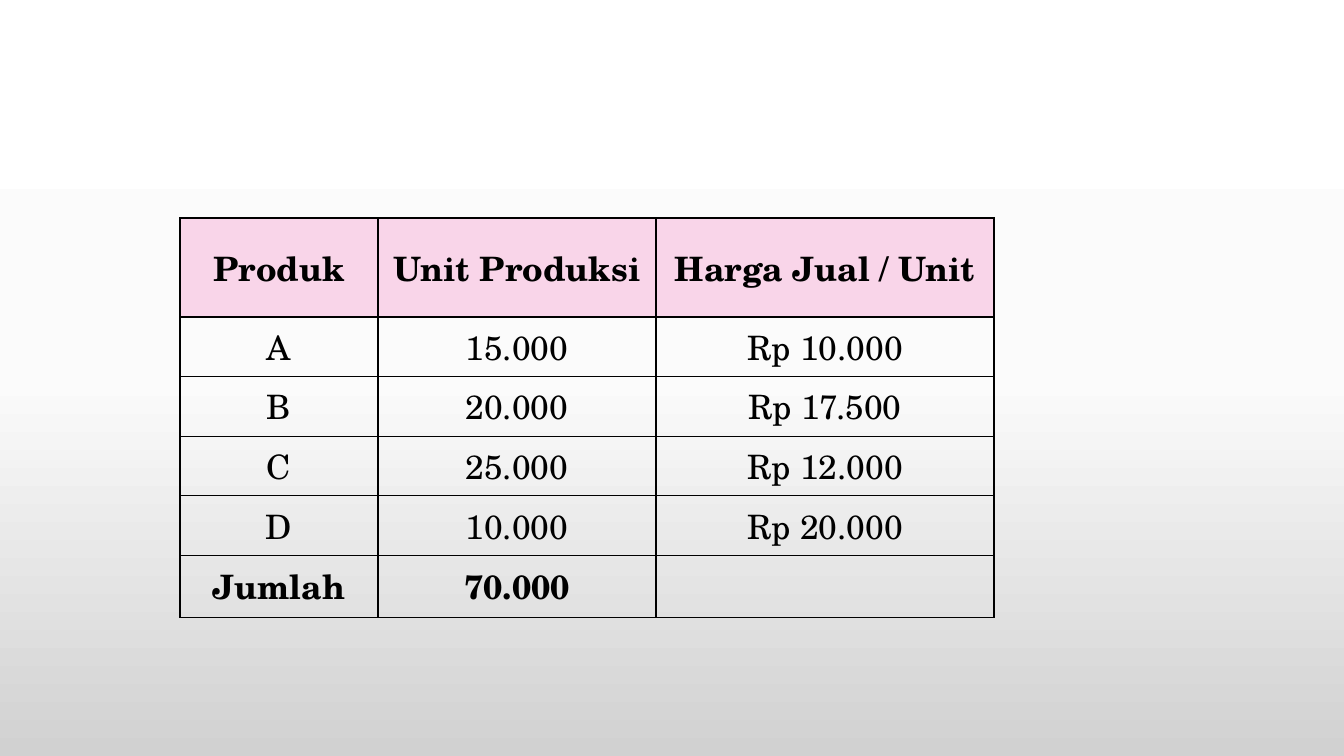
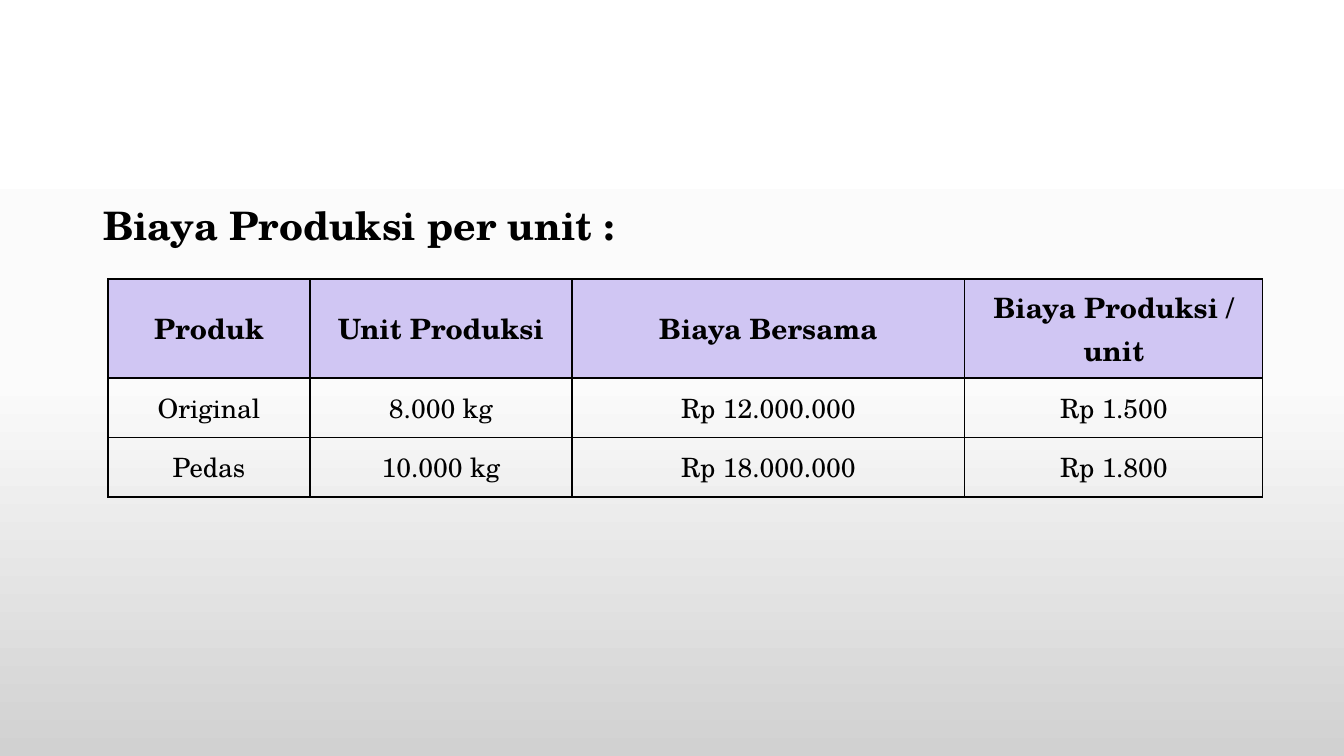
from copy import deepcopy

from lxml.etree import SubElement
from pptx import Presentation
from pptx.dml.color import RGBColor
from pptx.enum.text import MSO_ANCHOR, MSO_AUTO_SIZE, PP_ALIGN
from pptx.oxml.ns import qn
from pptx.util import Emu, Pt

COLORS = {
    "text": "000000",
    "border": "000000",
    "pink": "F9D5E9",
    "lavender": "D0C6F3",
}
BACKGROUND_STOPS = [(0, "FFFFFF"), (0.5, "FBFBFB"), (1, "D1D1D1")]
FONT = "TeX Gyre Schola"
EMU_PER_PX = 914400 / 100.8
HEADER_HEIGHT = 99
BORDER_WIDTH = Pt(1)
BLANK_LAYOUT = 6
CONTENT_LAYOUT = 1


def px(length):
    return Emu(round(length * EMU_PER_PX))


class Deck:
    def __init__(self, width, height):
        self.presentation = Presentation()
        self.presentation.slide_width = px(width)
        self.presentation.slide_height = px(height)
        self.slide = None
        self.set_background()

    def set_background(self):
        master = self.presentation.slide_master
        fill = master.background.fill
        fill.gradient()
        fill.gradient_angle = 270
        stop_list = master.element.find(".//" + qn("a:gsLst"))
        stop_list.append(deepcopy(stop_list[-1]))
        for stop, (position, color) in zip(fill.gradient_stops, BACKGROUND_STOPS):
            stop.position = position
            stop.color.rgb = RGBColor.from_string(color)

    def add_slide(self, layout):
        layouts = self.presentation.slide_layouts
        self.slide = self.presentation.slides.add_slide(layouts[layout])

    def format_runs(self, paragraph, size, bold):
        for run in paragraph.runs:
            run.font.name = FONT
            run.font.size = Pt(size)
            run.font.bold = bold
            run.font.color.rgb = RGBColor.from_string(COLORS["text"])

    def add_body(self, text, left, top, width, height, size):
        title = self.slide.shapes.title
        title.element.getparent().remove(title.element)
        body = self.slide.placeholders[1]
        body.left, body.top = px(left), px(top)
        body.width, body.height = px(width), px(height)
        body.text_frame.text = text
        body.text_frame.auto_size = MSO_AUTO_SIZE.NONE
        paragraph = body.text_frame.paragraphs[0]
        properties = paragraph._p.get_or_add_pPr()
        properties.set("marL", "0")
        properties.set("indent", "0")
        SubElement(properties, qn("a:buNone"))
        paragraph.line_spacing = 0.9
        paragraph.space_before = Pt(0)
        self.format_runs(paragraph, size, True)

    def add_borders(self, cell):
        properties = cell._tc.get_or_add_tcPr()
        for side in ("a:lnL", "a:lnR", "a:lnT", "a:lnB"):
            line = SubElement(properties, qn(side), w=str(BORDER_WIDTH))
            fill = SubElement(line, qn("a:solidFill"))
            SubElement(fill, qn("a:srgbClr"), val=COLORS["border"])

    def format_cell(self, cell, text, size, bold, fill):
        cell.text_frame.text = text
        cell.vertical_anchor = MSO_ANCHOR.MIDDLE
        paragraph = cell.text_frame.paragraphs[0]
        paragraph.alignment = PP_ALIGN.CENTER
        self.format_runs(paragraph, size, bold)
        self.add_borders(cell)
        if fill:
            cell.fill.solid()
            cell.fill.fore_color.rgb = RGBColor.from_string(COLORS[fill])
        else:
            cell.fill.background()

    def add_table(self, rows, left, top, widths, body_height, header_fill,
                  header_size, body_size, has_total=False):
        frame = self.slide.shapes.add_table(
            len(rows), len(widths), px(left), px(top),
            px(sum(widths)), px(HEADER_HEIGHT + body_height))
        table = frame.table
        table.first_row = table.horz_banding = False
        for column, width in zip(table.columns, widths):
            column.width = px(width)
        last = len(rows) - 1
        for index, values in enumerate(rows):
            is_header = index == 0
            bold = is_header or (has_total and index == last)
            size = header_size if is_header else body_size
            table.rows[index].height = px(
                HEADER_HEIGHT if is_header else body_height / last)
            for cell, text in zip(table.rows[index].cells, values):
                self.format_cell(cell, text, size, bold,
                                 header_fill if is_header else None)


def main():
    deck = Deck(1344, 756)

    deck.add_slide(BLANK_LAYOUT)
    sales_rows = [
        ("Produk", "Unit Produksi", "Harga Jual / Unit"),
        ("A", "15.000", "Rp 10.000"),
        ("B", "20.000", "Rp 17.500"),
        ("C", "25.000", "Rp 12.000"),
        ("D", "10.000", "Rp 20.000"),
        ("Jumlah", "70.000", ""),
    ]
    deck.add_table(sales_rows, 180, 218, [198, 278, 338], 298, "pink",
                   24, 24, has_total=True)

    deck.add_slide(CONTENT_LAYOUT)
    deck.add_body("Biaya Produksi per unit :", 93, 202, 1159, 480, 28)
    cost_rows = [
        ("Produk", "Unit Produksi", "Biaya Bersama", "Biaya Produksi / unit"),
        ("Original", "8.000 kg", "Rp 12.000.000", "Rp 1.500"),
        ("Pedas", "10.000 kg", "Rp 18.000.000", "Rp 1.800"),
    ]
    deck.add_table(cost_rows, 108, 279, [202, 262, 393, 298], 119, "lavender",
                   20, 19)

    deck.presentation.save("out.pptx")


if __name__ == "__main__":
    main()
